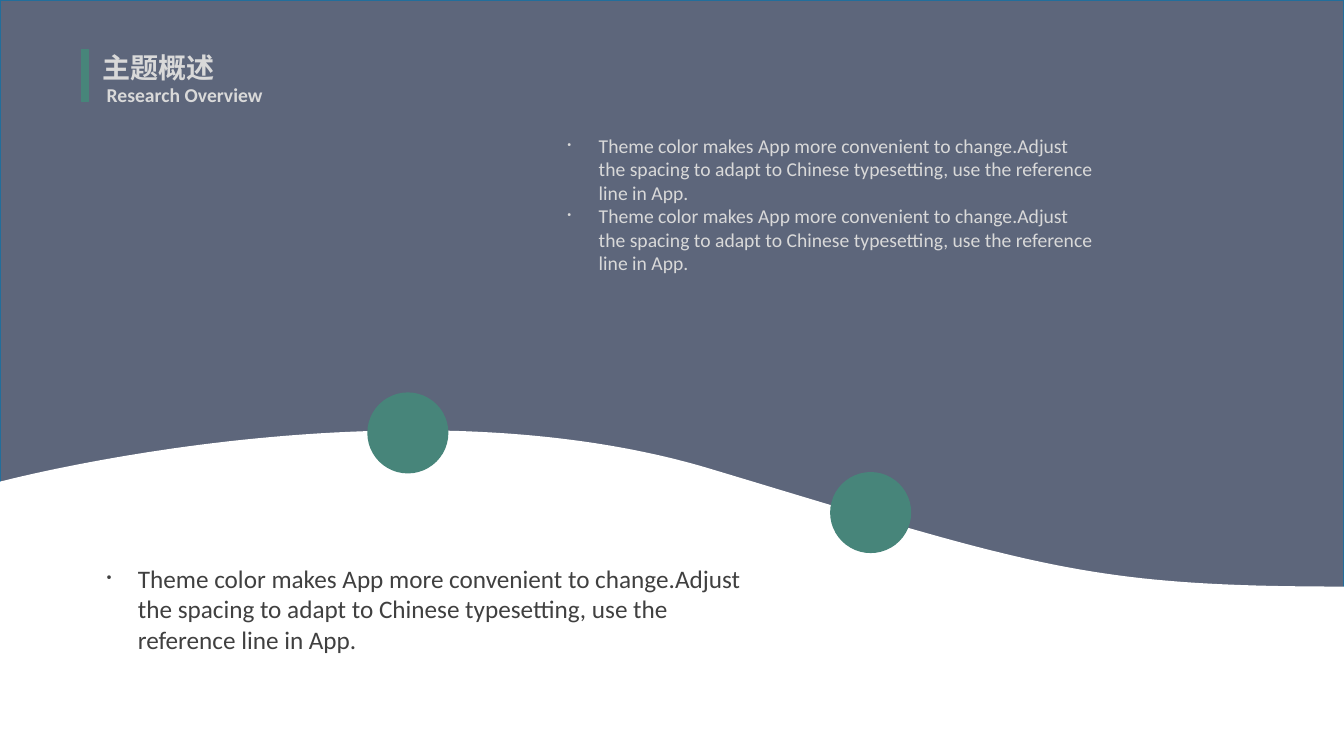
from dataclasses import dataclass

from lxml.etree import SubElement
from pptx import Presentation
from pptx.dml.color import RGBColor
from pptx.enum.shapes import MSO_SHAPE as Shape
from pptx.enum.text import MSO_ANCHOR as Anchor, MSO_AUTO_SIZE as Fit
from pptx.oxml.ns import qn
from pptx.util import Inches, Pt


@dataclass(frozen=True)
class Theme:
    navy: str = "192643"
    edge: str = "226E9B"
    green: str = "47857A"
    white: str = "FFFFFF"
    pale: str = "D9D9D9"
    dark: str = "404040"
    latin: str = "Calibri"
    han: str = "Noto Sans CJK SC"
    title: int = 20
    body: int = 14
    lead: int = 18


THEME = Theme()
WIDE, HIGH = 13.33, 7.5
BLURB = ("Theme color makes App more convenient to change.Adjust the spacing "
         "to adapt to Chinese typesetting, use the reference line in App.")


def paint(shape, fill, line=None, width=1):
    shape.shadow.inherit = False
    shape.fill.solid()
    shape.fill.fore_color.rgb = RGBColor.from_string(fill)
    shape.line.color.rgb = RGBColor.from_string(line or fill)
    shape.line.width = Pt(width)


def add_form(slide, kind, box, fill, line=None):
    shape = slide.shapes.add_shape(kind, *map(Inches, box))
    paint(shape, fill, line)
    return shape


def add_bullet(para):
    props = para._p.get_or_add_pPr()
    props.set("marL", str(Inches(0.31)))
    props.set("indent", str(Inches(-0.31)))
    SubElement(props, qn("a:buSzPct"), val="25000")
    SubElement(props, qn("a:buChar"), char="●")


def add_text(slide, box, lines, size=THEME.body, color=THEME.pale,
             font=THEME.latin, bold=False, bullet=False, wrap=True,
             anchor=Anchor.TOP, fit=Fit.SHAPE_TO_FIT_TEXT, base=0.05):
    """Add a text box; base is the inset below the text."""
    frame = slide.shapes.add_textbox(*map(Inches, box)).text_frame
    frame.word_wrap = wrap
    frame.auto_size = fit
    frame.vertical_anchor = anchor
    frame.margin_bottom = Inches(base)
    for i, line in enumerate(lines):
        para = frame.add_paragraph() if i else frame.paragraphs[0]
        if bullet:
            add_bullet(para)
        run = para.add_run()
        run.text = line
        run.font.size = Pt(size)
        run.font.bold = bold
        run.font.name = font
        run.font.color.rgb = RGBColor.from_string(color)
        SubElement(run._r.get_or_add_rPr(), qn("a:ea"), typeface=font)


def bend(start, first, second, end, steps=40):
    """Return the points of a cubic curve after its start."""
    def at(t):
        u = 1 - t
        return tuple(u**3 * a + 3 * u * u * t * b + 3 * u * t * t * c + t**3 * d
                     for a, b, c, d in zip(start, first, second, end))
    return [at(i / steps) for i in range(1, steps + 1)]


def add_sky(slide, box):
    sky = add_form(slide, Shape.RECTANGLE, box, THEME.navy, THEME.edge)
    tint = sky.fill._xPr.find(qn("a:solidFill"))[0]
    SubElement(tint, qn("a:alpha"), val="70000")


def add_hill(slide, box):
    """Draw the white hill and the two dots on its ridge."""
    left, top, width, height = box
    right, foot = left + width, top + height
    east, mid = (right, top + 1.55), (left + 7.07, top + 0.39)
    peak, west = (left + 4.12, top), (left, top + 0.51)
    ridge = [east]
    ridge += bend(east, (left + 10.78, top + 1.55), (left + 10.26, top + 1.35), mid)
    ridge += bend(mid, (left + 6.12, top + 0.1), (left + 5.09, top), peak)
    ridge += bend(peak, (left + 1.92, top), west, west)
    form = slide.shapes.build_freeform(Inches(left), Inches(foot))
    form.add_line_segments([(Inches(x), Inches(y))
                            for x, y in [(right, foot)] + ridge])
    paint(form.convert_to_shape(), THEME.white, width=3)
    for x, y in ((3.65, -0.39), (8.24, 0.4)):
        add_form(slide, Shape.OVAL, (left + x, top + y, 0.79, 0.79), THEME.green)


def add_head(slide, box):
    left, top, width, height = box
    add_form(slide, Shape.RECTANGLE, (left, top + 0.04, 0.07, 0.52), THEME.green)
    add_text(slide, (left + 0.11, top, 1.32, 0.44), ["主题概述"],
             size=THEME.title, font=THEME.han, bold=True, wrap=False)
    add_text(slide, (left + 0.15, top + height - 0.34, width - 0.15, 0.34),
             ["Research Overview"], bold=True, wrap=False)


def build():
    deck = Presentation()
    deck.slide_width, deck.slide_height = Inches(WIDE), Inches(HIGH)
    slide = deck.slides.add_slide(deck.slide_layouts[6])
    add_sky(slide, (0, 0, WIDE, HIGH))
    add_hill(slide, (0, 4.29, WIDE, HIGH - 4.29))
    add_head(slide, (0.81, 0.45, 1.91, 0.66))
    add_text(slide, (5.53, 1.15, 5.42, 1.99), [BLURB] * 2, bullet=True,
             anchor=Anchor.MIDDLE, fit=Fit.NONE, base=0.29)
    add_text(slide, (0.96, 5.54, 6.67, 1.01), [BLURB], size=THEME.lead,
             color=THEME.dark, bullet=True)
    deck.save("out.pptx")


if __name__ == "__main__":
    build()
